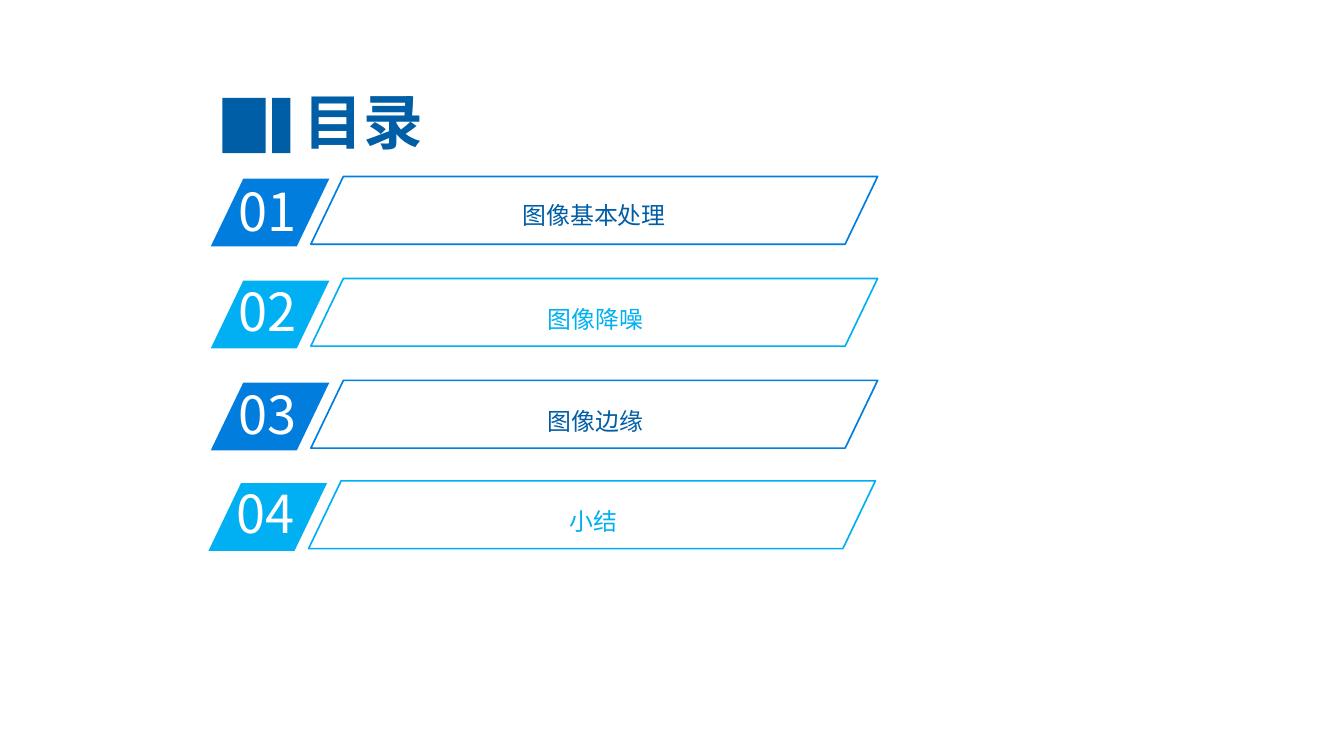
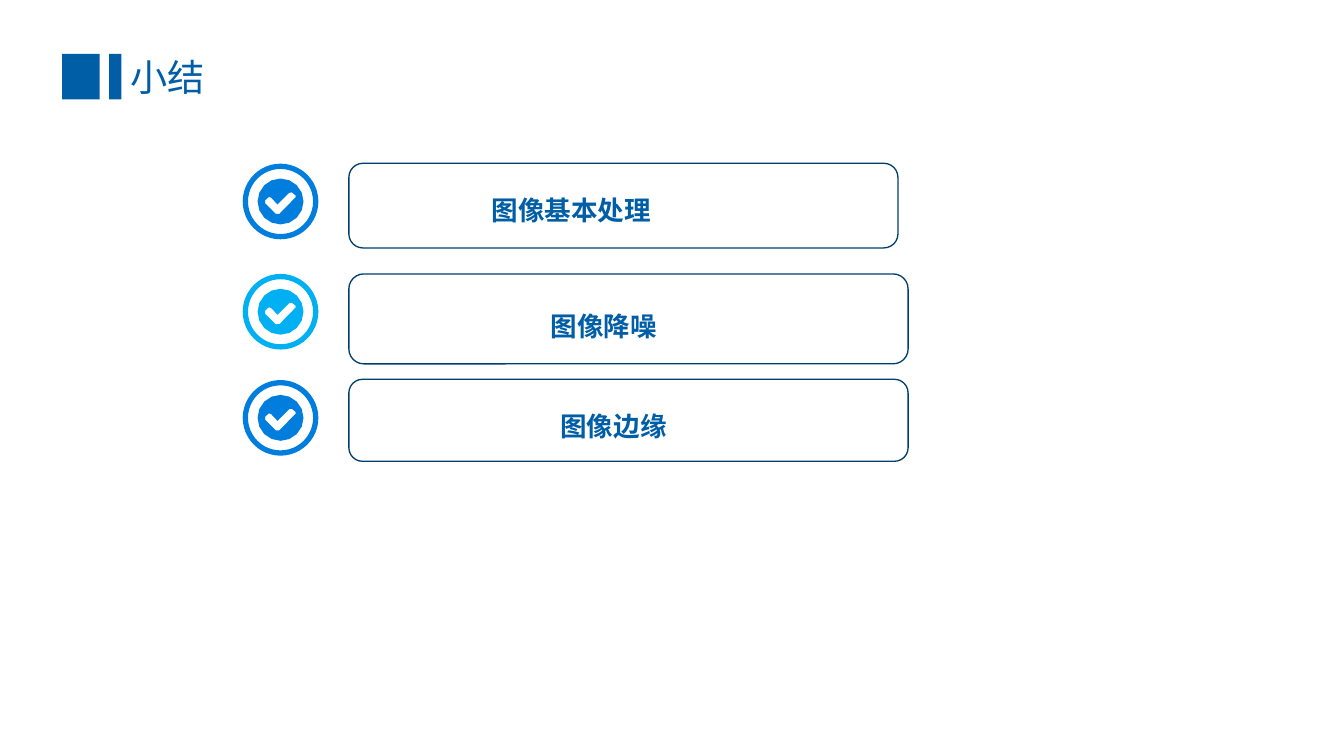
import math
from dataclasses import dataclass

from lxml import etree
from pptx import Presentation
from pptx.dml.color import RGBColor
from pptx.enum.shapes import MSO_SHAPE
from pptx.enum.text import MSO_ANCHOR, MSO_AUTO_SIZE, PP_ALIGN
from pptx.oxml.ns import qn
from pptx.shapes.autoshape import Shape
from pptx.slide import Slide
from pptx.util import Cm, Pt

RECT = MSO_SHAPE.RECTANGLE
ROUND_RECT = MSO_SHAPE.ROUNDED_RECTANGLE
SLANT = MSO_SHAPE.PARALLELOGRAM
DONUT = MSO_SHAPE.DONUT
MIDDLE = MSO_ANCHOR.MIDDLE
TOP = MSO_ANCHOR.TOP
GROW = MSO_AUTO_SIZE.SHAPE_TO_FIT_TEXT
FIXED = MSO_AUTO_SIZE.NONE
LEFT = PP_ALIGN.LEFT
CENTER = PP_ALIGN.CENTER
JUSTIFY = PP_ALIGN.JUSTIFY

FONT = "Noto Sans CJK SC"
COLORS = {
    "title": "005EA6",
    "blue": "007DDD",
    "sky": "00B0F2",
    "frame": "003E6E",
    "white": "FFFFFF",
}
SLANT_ADJ = 0.48
RING_ADJ = 0.07
RING_SIZE = 2.01
DISC_RADIUS = 0.61
DISC_POINTS = 16
TICK = [
    (0.40, -0.16), (0.30, -0.24), (0.23, -0.23), (-0.08, 0.08),
    (-0.25, -0.10), (-0.31, -0.12), (-0.41, -0.03), (-0.41, 0.05),
    (-0.13, 0.33), (-0.03, 0.33), (0.40, -0.11),
]


@dataclass(frozen=True)
class Box:
    x: float
    y: float
    w: float
    h: float


@dataclass(frozen=True)
class TextStyle:
    size: float
    color: str
    bold: bool = False
    align: PP_ALIGN = LEFT
    spacing: float = 1.0
    anchor: MSO_ANCHOR = TOP
    auto_size: MSO_AUTO_SIZE = GROW
    wrap: bool = True


@dataclass(frozen=True)
class AgendaRow:
    number: str
    label: str
    left: float
    top: float
    number_top: float
    label_left: float
    label_top: float
    fill: str
    label_color: str


@dataclass(frozen=True)
class SummaryRow:
    label: str
    ring_top: float
    color: str
    frame: Box
    label_box: Box
    wrap: bool


AGENDA = [
    AgendaRow("01", "图像基本处理", 5.6, 4.75, 4.65, 10.26, 4.82, "blue", "title"),
    AgendaRow("02", "图像降噪", 5.6, 7.46, 7.29, 10.29, 7.58, "sky", "sky"),
    AgendaRow("03", "图像边缘", 5.6, 10.17, 10.03, 10.29, 10.29, "blue", "title"),
    AgendaRow("04", "小结", 5.54, 12.84, 12.67, 10.24, 12.95, "sky", "sky"),
]
SUMMARY = [
    SummaryRow("图像基本处理", 4.35, "blue", Box(9.27, 4.34, 14.59, 2.25),
               Box(12.81, 4.85, 7.65, 1.14), True),
    SummaryRow("图像降噪", 7.28, "sky", Box(9.27, 7.28, 14.86, 2.39),
               Box(14.38, 7.95, 3.38, 1.14), False),
    SummaryRow("图像边缘", 10.1, "blue", Box(9.27, 10.08, 14.86, 2.18),
               Box(14.64, 10.59, 3.38, 1.14), False),
]


def rgb(name: str) -> RGBColor:
    return RGBColor.from_string(COLORS[name])


def paint(sp: Shape, fill: str = "", line: str = "", width: float = 1) -> None:
    sp.shadow.inherit = False
    if fill:
        sp.fill.solid()
        sp.fill.fore_color.rgb = rgb(fill)
    else:
        sp.fill.background()
    if line:
        sp.line.color.rgb = rgb(line)
        sp.line.width = Pt(width)
    else:
        sp.line.fill.background()


def add_shape(s: Slide, kind: MSO_SHAPE, box: Box, fill: str = "",
              line: str = "", width: float = 1, adj: float = 0) -> None:
    sp = s.shapes.add_shape(kind, Cm(box.x), Cm(box.y), Cm(box.w), Cm(box.h))
    if adj:
        sp.adjustments[0] = adj
    paint(sp, fill, line, width)


def add_text(s: Slide, box: Box, text: str, style: TextStyle) -> None:
    sp = s.shapes.add_textbox(Cm(box.x), Cm(box.y), Cm(box.w), Cm(box.h))
    tf = sp.text_frame
    tf.word_wrap = style.wrap
    tf.auto_size = style.auto_size
    tf.vertical_anchor = style.anchor
    p = tf.paragraphs[0]
    p.alignment = style.align
    p.line_spacing = style.spacing
    r = p.add_run()
    r.text = text
    r.font.size = Pt(style.size)
    r.font.bold = style.bold
    r.font.color.rgb = rgb(style.color)
    r.font.name = FONT
    etree.SubElement(r.font._element, qn("a:ea"), typeface=FONT)


def add_title(s: Slide, bars: list[Box], box: Box, text: str,
              style: TextStyle) -> None:
    for bar in bars:
        add_shape(s, RECT, bar, fill="title")
    add_text(s, box, text, style)


def add_tick_disc(s: Slide, cx: float, cy: float, color: str) -> None:
    angles = [2 * math.pi * i / DISC_POINTS for i in range(DISC_POINTS)]
    rim = [(DISC_RADIUS * math.cos(a), DISC_RADIUS * math.sin(a))
           for a in angles]
    disc, tick = [[(Cm(cx + x), Cm(cy + y)) for x, y in outline]
                  for outline in (rim, TICK)]
    builder = s.shapes.build_freeform(*disc[0])
    builder.add_line_segments(disc[1:], close=True)
    builder.move_to(*tick[0])
    builder.add_line_segments(tick[1:], close=True)
    paint(builder.convert_to_shape(), color)


def add_agenda_row(s: Slide, row: AgendaRow) -> None:
    add_shape(s, SLANT, Box(row.left, row.top, 3.15, 1.8),
              fill=row.fill, adj=SLANT_ADJ)
    add_text(s, Box(row.left + 0.5, row.number_top, 3, 1.93), row.number,
             TextStyle(39.4, "white"))
    add_text(s, Box(row.label_left, row.label_top, 11.05, 1.24), row.label,
             TextStyle(18, row.label_color, align=CENTER, spacing=1.5))
    add_shape(s, SLANT, Box(row.left + 2.66, row.top - 0.06, 15.06, 1.8),
              line=row.fill, width=1.25, adj=SLANT_ADJ)


def add_summary_row(s: Slide, row: SummaryRow) -> None:
    ring = Box(6.45, row.ring_top, RING_SIZE, RING_SIZE)
    add_shape(s, DONUT, ring, fill=row.color, adj=RING_ADJ)
    add_tick_disc(s, ring.x + RING_SIZE / 2, ring.y + RING_SIZE / 2, row.color)
    add_shape(s, ROUND_RECT, row.frame, line="frame")
    add_text(s, row.label_box, row.label,
             TextStyle(20, "title", bold=True, align=JUSTIFY, spacing=1.2,
                       wrap=row.wrap))


def main() -> None:
    prs = Presentation()
    prs.slide_width, prs.slide_height = Cm(35.71), Cm(20.09)
    blank = prs.slide_layouts[6]

    s = prs.slides.add_slide(blank)
    add_title(s, [Box(5.91, 2.6, 1.15, 1.47), Box(7.23, 2.6, 0.49, 1.47)],
              Box(5.26, 2.24, 8.81, 1.93), "目录",
              TextStyle(45, "title", bold=True, align=CENTER, anchor=MIDDLE,
                        auto_size=FIXED))
    for agenda_row in AGENDA:
        add_agenda_row(s, agenda_row)

    s = prs.slides.add_slide(blank)
    add_title(s, [Box(1.65, 1.43, 1, 1.21), Box(2.9, 1.43, 0.33, 1.21)],
              Box(3.21, 1.32, 13.46, 1.45), "小结", TextStyle(28, "title"))
    for summary_row in SUMMARY:
        add_summary_row(s, summary_row)

    prs.save("out.pptx")


if __name__ == "__main__":
    main()
